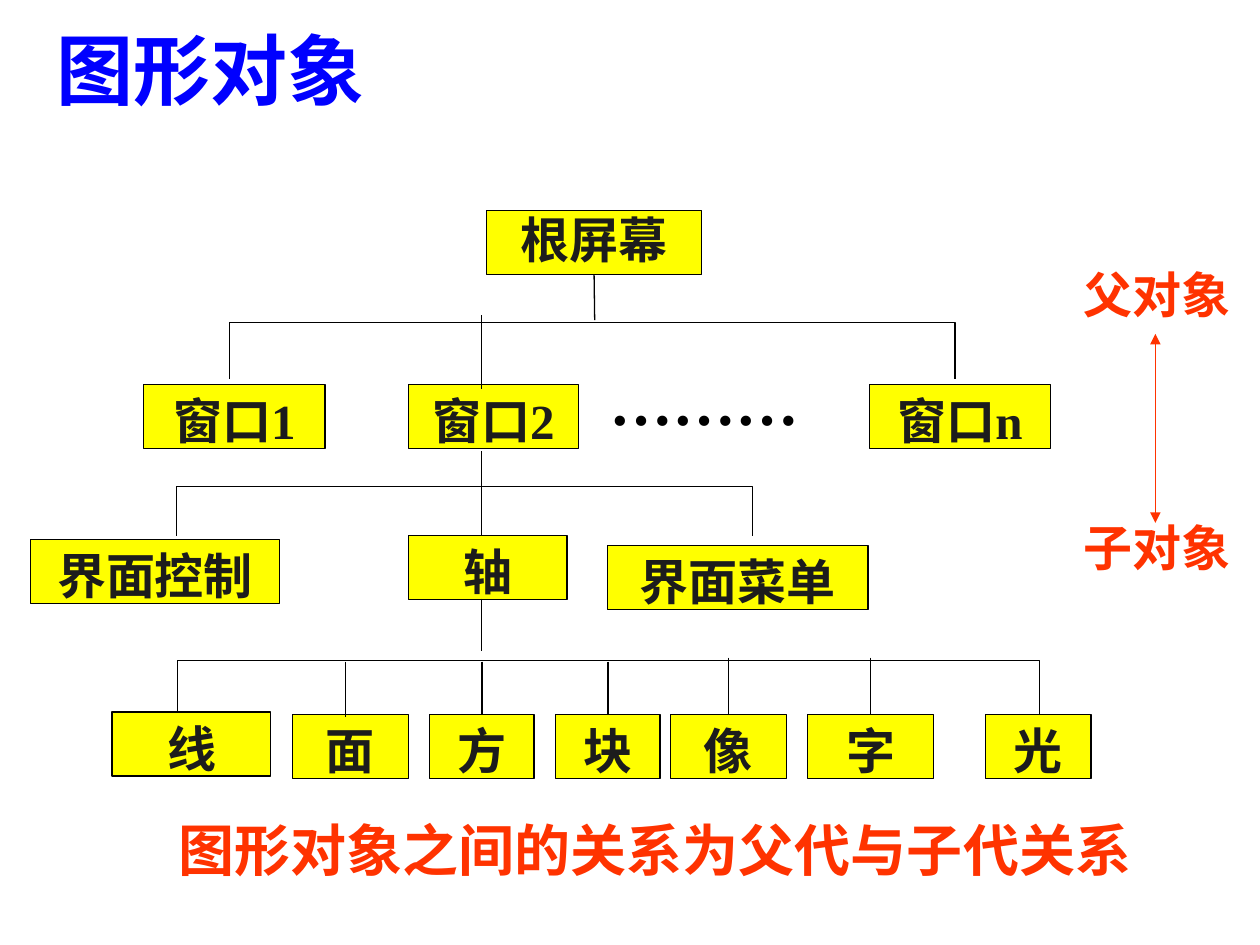
from lxml.etree import SubElement
from pptx import Presentation
from pptx.dml.color import RGBColor
from pptx.enum.shapes import MSO_CONNECTOR, MSO_SHAPE
from pptx.enum.text import MSO_ANCHOR, PP_ALIGN
from pptx.oxml.ns import qn
from pptx.util import Inches, Pt

COLORS = {"title": "0000FF", "accent": "FF3300", "label": "1C1C1C",
          "line": "000000", "box": "FFFF00"}
LATIN, CJK = "Times New Roman", "Noto Sans CJK SC"
BOTTOM, TOP = 2, 0
BOX_ROWS = 5.1


def color(name):
    return RGBColor.from_string(COLORS[name])


class TreeSlide:
    """Places elements on a grid of 100 columns by 75 rows."""

    def __init__(self, prs):
        self.cell = prs.slide_width / 100
        self.slide = prs.slides.add_slide(prs.slide_layouts[5])
        self.shapes = self.slide.shapes

    def grid(self, *cells):
        return [round(cell * self.cell) for cell in cells]

    def fill_text(self, frame, lines, size, ink, latin=LATIN, anchor=MSO_ANCHOR.TOP,
                  gap=None, **spacing):
        """Set one paragraph a line, with gap before all but the first."""
        for name, value in {"word_wrap": True, "vertical_anchor": anchor}.items():
            setattr(frame, name, value)
        for index, line in enumerate(lines):
            paragraph = frame.add_paragraph() if index else frame.paragraphs[0]
            if index:
                paragraph.space_before = gap
            for name, value in spacing.items():
                setattr(paragraph, name, value)
            run = paragraph.add_run()
            run.text = line
            for name, value in {"size": Pt(size), "bold": True, "name": latin}.items():
                setattr(run.font, name, value)
            run.font.color.rgb = color(ink)
            SubElement(run.font._element, qn("a:ea"), typeface=CJK)

    def title(self, text, *place):
        holder = self.shapes.title
        for name, value in zip(("left", "top", "width", "height"), self.grid(*place)):
            setattr(holder, name, value)
        self.fill_text(holder.text_frame, [text], 44, "title", CJK, MSO_ANCHOR.BOTTOM,
                       alignment=PP_ALIGN.LEFT)

    def text(self, lines, place, size, ink, **spacing):
        frame = self.shapes.add_textbox(*self.grid(*place)).text_frame
        self.fill_text(frame, lines, size, ink, **spacing)

    def box(self, text, left, top, width, **spacing):
        node = self.shapes.add_shape(MSO_SHAPE.RECTANGLE,
                                     *self.grid(left, top, width, BOX_ROWS))
        node.shadow.inherit = False
        node.fill.solid()
        node.fill.fore_color.rgb = color("box")
        self.stroke(node.line, "line")
        self.fill_text(node.text_frame, [text], 28, "label",
                       alignment=PP_ALIGN.CENTER, **spacing)
        return node

    def stroke(self, line, ink):
        line.color.rgb = color(ink)
        line.width = Pt(0.75)

    def line(self, x, start, end, ink="line", begin=None, finish=None, arrows=False):
        """Vertical line; begin joins a box's bottom, finish a box's top."""
        link = self.shapes.add_connector(MSO_CONNECTOR.STRAIGHT,
                                         *self.grid(x, start, x, end))
        self.stroke(link.line, ink)
        if begin is not None:
            link.begin_connect(begin, BOTTOM)
        if finish is not None:
            link.end_connect(finish, TOP)
        properties = link._element.spPr
        if arrows:
            outline = properties.find(qn("a:ln"))
            for tag in ("a:headEnd", "a:tailEnd"):
                SubElement(outline, qn(tag), type="triangle")
        SubElement(properties, qn("a:effectLst"))

    def bracket(self, left, right, top, bottom):
        """Open bar with a leg down at each end."""
        corners = [self.grid(*point) for point in
                   ((left, bottom), (left, top), (right, top), (right, bottom))]
        builder = self.shapes.build_freeform(*corners[0])
        builder.add_line_segments(corners[1:], close=False)
        bar = builder.convert_to_shape()
        bar.shadow.inherit = False
        bar.fill.background()
        self.stroke(bar.line, "line")


def main():
    prs = Presentation()
    prs.slide_width, prs.slide_height = Inches(10), Inches(7.5)
    tree = TreeSlide(prs)
    tree.title("图形对象", 3.5, 1.3, 92.3, 8.3)

    tree.text(["父对象", "子对象"], (85, 20, 15, 28.6), 28, "accent",
              line_spacing=1.1, gap=Pt(108))
    tree.line(91.7, 26.5, 41.5, ink="accent", arrows=True)
    tree.text(["图形对象之间的关系为父代与子代关系"], (13.2, 64.2, 78.5, 6.3), 32, "accent")

    root = tree.box("根屏幕", 38.6, 16.7, 17.1, line_spacing=0.9)
    for label, left, width in (("窗口1", 11.4, 14.4), ("窗口2", 32.4, 13.5),
                               ("窗口n", 69, 14.4)):
        tree.box(label, left, 30.5, width)
    tree.text(["………"], (47.4, 28.3, 27, 7), 36, "line")
    for label, left, top, width in (("界面控制", 2.4, 42.8, 19.8), ("轴", 32.4, 42.5, 12.6),
                                    ("界面菜单", 48.2, 43.3, 20.7)):
        tree.box(label, left, top, width)

    tree.bracket(18.2, 75.8, 25.6, 30.1)
    tree.bracket(14, 59.7, 38.6, 42.5)
    tree.bracket(14.1, 82.5, 52.4, 56.7)
    tree.line(47.2, 21.8, 25.4, begin=root)
    for start, end in ((25, 30.9), (35.8, 42.5), (47.5, 51.7)):
        tree.line(38.2, start, end)

    tree.box("线", 8.9, 56.5, 12.6)
    tree.box("面", 23.2, 56.7, 9.2)
    tree.line(27.4, 52.5, 56.9)
    for label, left, width, start in (("方", 34.1, 8.3, 52.5), ("块", 44.1, 8.3, 52.5),
                                      ("像", 53.2, 9.2, 52.2), ("字", 64.1, 10, 52.2)):
        leaf = tree.box(label, left, 56.7, width)
        tree.line(left + width / 2, start, 56.7, finish=leaf)
    tree.box("光", 78.2, 56.7, 8.4)
    prs.save("out.pptx")


if __name__ == "__main__":
    main()
